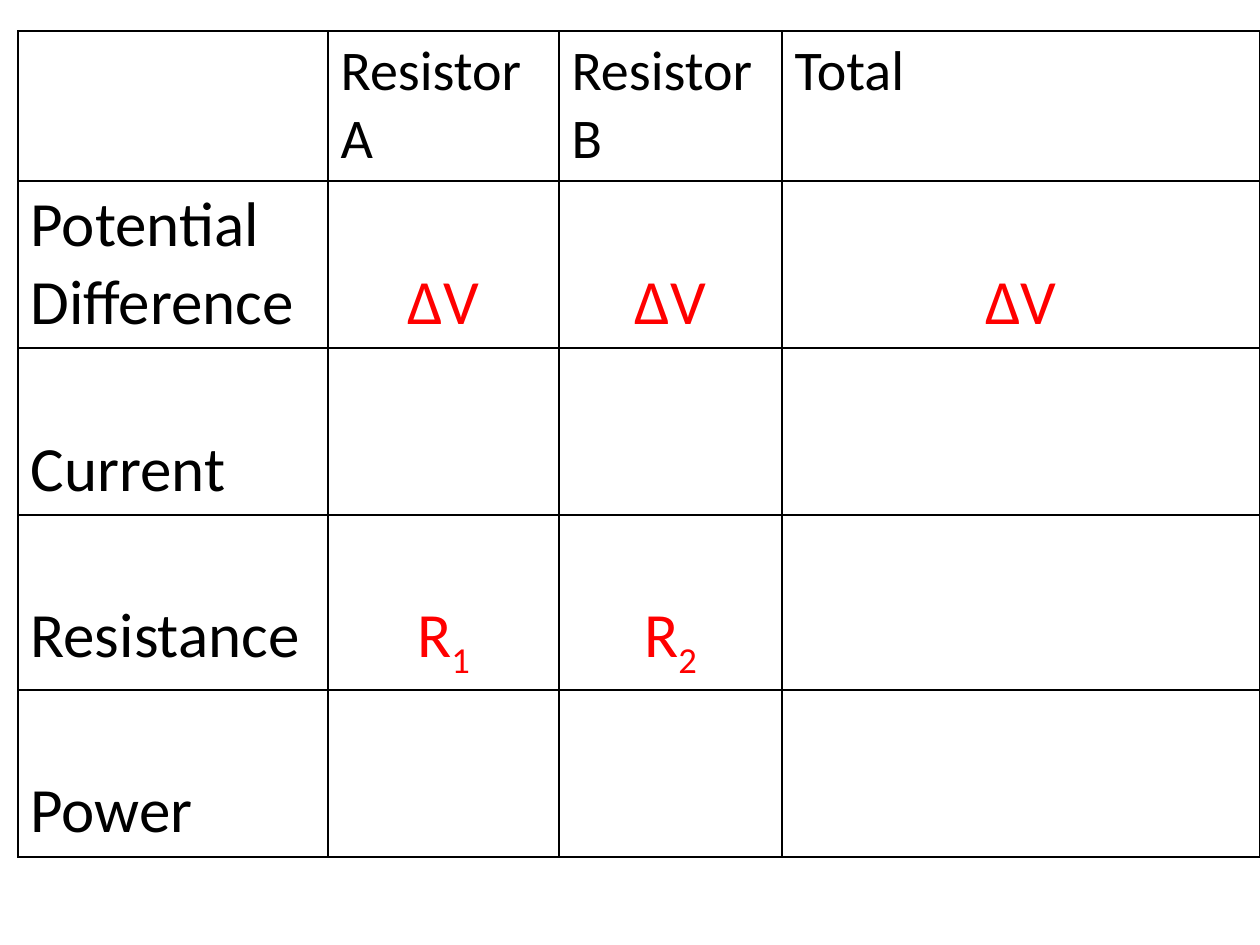
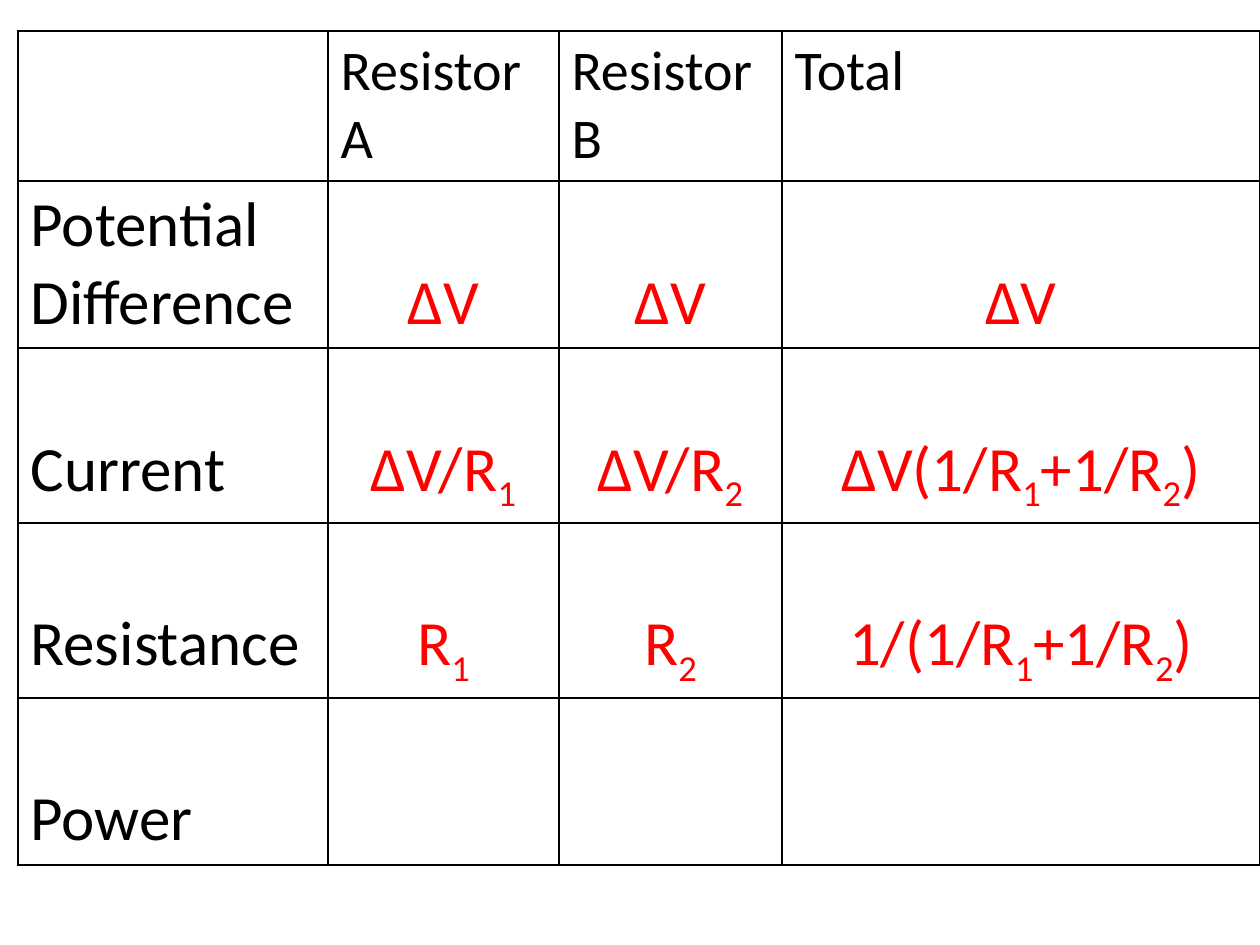
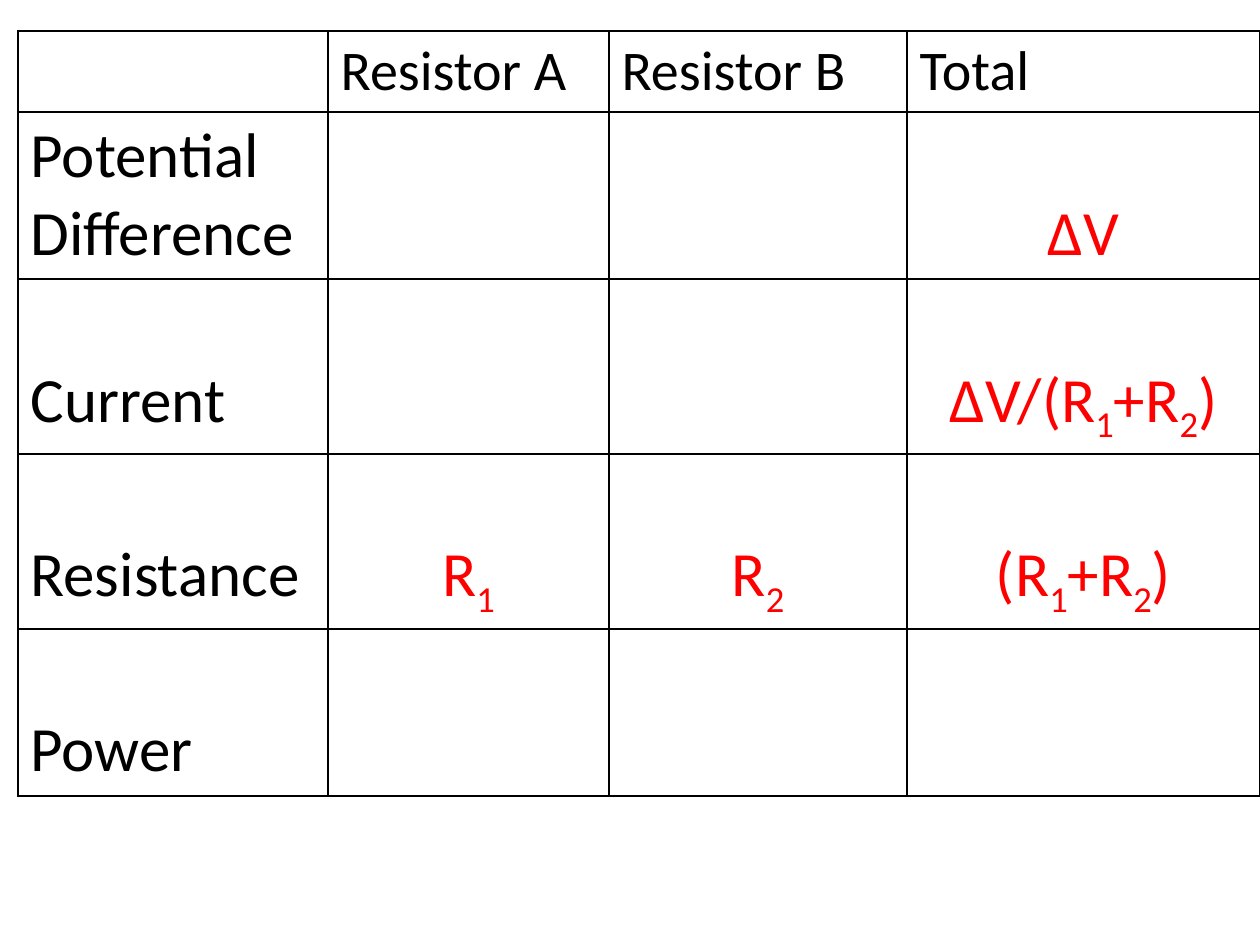
from lxml import etree
from pptx import Presentation
from pptx import util as u
from pptx.dml.color import RGBColor
from pptx.enum import text
from pptx.oxml.ns import qn

PX = 914400 / 126
BLACK, RED, WHITE = "000000", "FF0000", "FFFFFF"
FONT = "Calibri"
HEADER = {"size": u.Pt(32), "name": FONT}
BODY = {"size": u.Pt(36), "name": FONT}
LEFT, TOP = 18, 31
PLAIN_ROW, SUBSCRIPT_ROW = 167, 175
FIRST_LINE, SECOND_LINE = 6, 83  # top margins that start text on either line

HEADINGS = ["", "Resistor A", "Resistor B", "Total"]
QUANTITIES = ["Potential Difference", "Current", "Resistance", "Power"]
EMPTY = ["", "", ""]
RESISTORS = ["R_1", "R_2"]

# Each circuit: column widths, header height, one list of values per quantity.
# An underscore lowers the character after it.
PARALLEL_WIDTHS = [310, 231, 223, 478]
SERIES_WIDTHS = [310, 281, 298, 353]
CIRCUITS = [
    (PARALLEL_WIDTHS, 150, [["ΔV"] * 3, EMPTY, RESISTORS + [""], EMPTY]),
    (PARALLEL_WIDTHS, 150, [["ΔV"] * 3,
                            ["ΔV/R_1", "ΔV/R_2", "ΔV(1/R_1+1/R_2)"],
                            RESISTORS + ["1/(1/R_1+1/R_2)"], EMPTY]),
    (SERIES_WIDTHS, 81, [["", "", "ΔV"], ["", "", "ΔV/(R_1+R_2)"],
                         RESISTORS + ["(R_1+R_2)"], EMPTY]),
]


def px(length):
    return u.Emu(round(length * PX))


def color(value):
    return RGBColor.from_string(value)


def add_span(para, words, style, ink, lowered=False):
    span = para.add_run()
    span.text = words
    for name, value in style.items():
        setattr(span.font, name, value)
    span.font.color.rgb = color(ink)
    if lowered:
        span.font._element.set("baseline", "-25000")


def write_formula(para, formula, style, ink):
    first, *rest = formula.split("_")
    add_span(para, first, style, ink)
    for piece in rest:
        add_span(para, piece[0], style, ink, lowered=True)
        if piece[1:]:
            add_span(para, piece[1:], style, ink)


def frame_cell(cell):
    properties = cell._tc.get_or_add_tcPr()
    for side in ("lnL", "lnR", "lnT", "lnB"):
        line = etree.SubElement(properties, qn(f"a:{side}"), w=str(u.Pt(1)))
        fill = etree.SubElement(line, qn("a:solidFill"))
        etree.SubElement(fill, qn("a:srgbClr"), val=BLACK)
    cell.fill.solid()
    cell.fill.fore_color.rgb = color(WHITE)


def fill_cell(cell, words, style, ink, margin, align):
    frame_cell(cell)
    if words:
        cell.margin_top = px(margin)
        para = cell.text_frame.paragraphs[0]
        para.alignment = align
        write_formula(para, words, style, ink)


def add_circuit_table(page, left, top, widths, header_height, values):
    heights = [header_height] + [
        SUBSCRIPT_ROW if "_" in "".join(row) else PLAIN_ROW for row in values]
    table = page.shapes.add_table(
        len(heights), len(widths), px(left), px(top),
        px(sum(widths)), px(sum(heights))).table
    table.first_row = table.horz_banding = False
    for column, width in zip(table.columns, widths):
        column.width = px(width)
    for row, height in zip(table.rows, heights):
        row.height = px(height)

    # Headings
    for cell, heading in zip(table.rows[0].cells, HEADINGS):
        fill_cell(cell, heading, HEADER, BLACK, FIRST_LINE, text.PP_ALIGN.LEFT)

    # Quantities and their values
    for number, (quantity, row) in enumerate(zip(QUANTITIES, values), 1):
        label, *cells = table.rows[number].cells
        margin = FIRST_LINE if " " in quantity else SECOND_LINE
        fill_cell(label, quantity, BODY, BLACK, margin, text.PP_ALIGN.LEFT)
        for cell, value in zip(cells, row):
            fill_cell(cell, value, BODY, RED, SECOND_LINE, text.PP_ALIGN.CENTER)


def main():
    deck = Presentation()
    deck.slide_width, deck.slide_height = px(1260), px(945)
    for widths, header_height, values in CIRCUITS:
        page = deck.slides.add_slide(deck.slide_layouts[6])
        add_circuit_table(page, LEFT, TOP, widths, header_height, values)
    deck.save("out.pptx")


if __name__ == "__main__":
    main()
